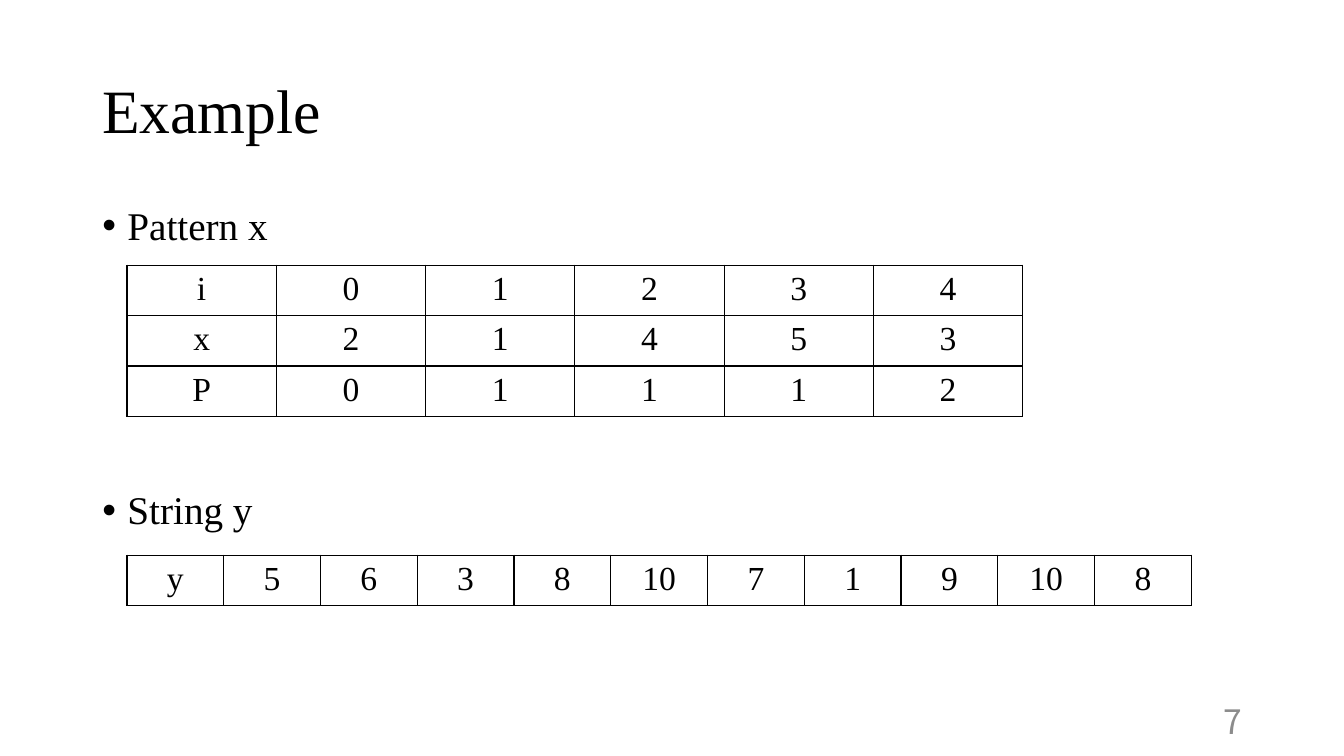
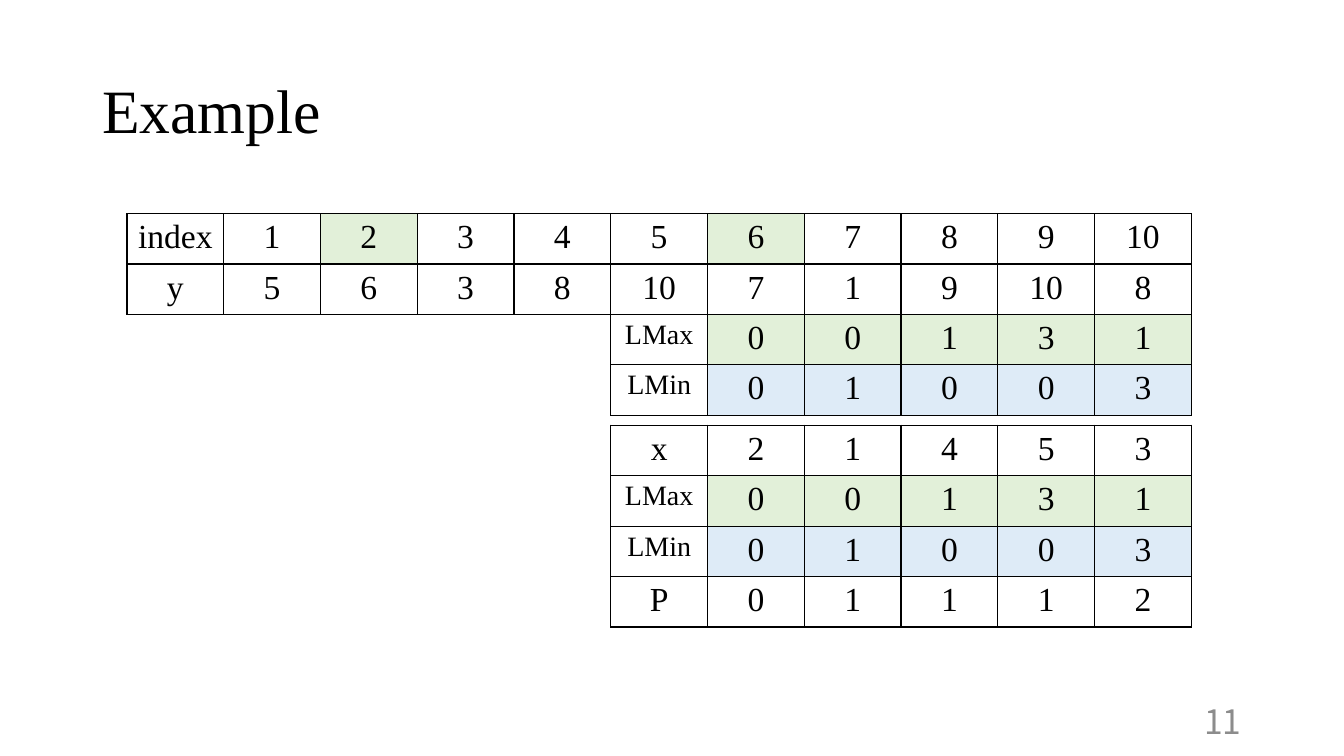
from lxml.etree import SubElement
from pptx import Presentation
from pptx.dml.color import RGBColor
from pptx.enum.text import MSO_ANCHOR, PP_ALIGN
from pptx.oxml import parse_xml
from pptx.oxml.ns import nsdecls, qn
from pptx.util import Pt

# Shared style
SERIF, NUMBER_FONT = "Times New Roman", "Noto Sans CJK JP"
BLACK, GRAY, WHITE = "000000", "8C8C8C", "FFFFFF"
GREEN, BLUE = "E2F0D9", "DEEBF7"

# Shared boxes: left, top, width, height in points
TITLE_BOX = (66, 28.8, 828, 104.4)
BODY_BOX = (66, 144, 828, 342.72)
NUMBER_BOX = (678, 500.5, 216, 28.8)

# Shared table grid in points
TABLE_LEFT = 90.72
WIDE_COLUMN, NARROW_COLUMN = 106.65, 69.12
ROW_HEIGHT = 33.8
WINDOW_LEFT = TABLE_LEFT + 5 * NARROW_COLUMN

# Table rows: label, values, fill of the value cells
Y_ROW = ("y", [5, 6, 3, 8, 10, 7, 1, 9, 10, 8], None)
X_ROW = ("x", [2, 1, 4, 5, 3], None)
P_ROW = ("P", [0, 1, 1, 1, 2], None)
LIMIT_ROWS = [
    ("LMax", [0, 0, 1, 3, 1], GREEN),
    ("LMin", [0, 1, 0, 0, 3], BLUE),
]


def color(hex_string):
    return RGBColor.from_string(hex_string)


def add_run(paragraph, text, size, font_name=SERIF, font_color=BLACK):
    run = paragraph.add_run()
    run.text = text
    run.font.size = Pt(size)
    run.font.name = font_name
    run.font.color.rgb = color(font_color)


def add_text_frame(slide, box, anchor):
    text_frame = slide.shapes.add_textbox(*map(Pt, box)).text_frame
    text_frame.word_wrap = True
    text_frame.vertical_anchor = anchor
    return text_frame


def add_title(slide, box, text):
    paragraph = add_text_frame(slide, box, MSO_ANCHOR.MIDDLE).paragraphs[0]
    paragraph.line_spacing = 0.9
    add_run(paragraph, text, 44)


def add_page_number(slide, box, number):
    paragraph = add_text_frame(slide, box, MSO_ANCHOR.MIDDLE).paragraphs[0]
    paragraph.alignment = PP_ALIGN.RIGHT
    add_run(paragraph, str(number), 24, NUMBER_FONT, GRAY)


def add_bullets(slide, box, items, gap):
    text_frame = add_text_frame(slide, box, MSO_ANCHOR.TOP)
    for index, item in enumerate(items):
        paragraph = text_frame.add_paragraph() if index else text_frame.paragraphs[0]
        properties = paragraph._p.get_or_add_pPr()
        properties.set("marL", str(Pt(18)))
        properties.set("indent", str(-Pt(18)))
        SubElement(properties, qn("a:buFont")).set("typeface", "Arial")
        SubElement(properties, qn("a:buChar")).set("char", "•")
        paragraph.line_spacing = 0.9
        if index:
            paragraph.space_before = Pt(gap)
        add_run(paragraph, item, 28)


def set_borders(cell):
    properties = cell._tc.get_or_add_tcPr()
    for position, side in enumerate(("lnL", "lnR", "lnT", "lnB")):
        border = parse_xml(
            f'<a:{side} {nsdecls("a")} w="{Pt(1)}"><a:solidFill>'
            f'<a:srgbClr val="{BLACK}"/></a:solidFill></a:{side}>'
        )
        properties.insert(position, border)


def fill_cell(cell, text, size, fill):
    if fill:
        cell.fill.solid()
        cell.fill.fore_color.rgb = color(fill)
    else:
        cell.fill.background()
    set_borders(cell)
    paragraph = cell.text_frame.paragraphs[0]
    paragraph.alignment = PP_ALIGN.CENTER
    add_run(paragraph, text, size)


def add_array_table(slide, left, top, column_width, rows, highlights=()):
    """Draw labelled rows; highlights holds (row, column) cells to tint green."""
    column_count = len(rows[0][1]) + 1
    table = slide.shapes.add_table(
        len(rows), column_count, Pt(left), Pt(top),
        Pt(column_width * column_count), Pt(ROW_HEIGHT * len(rows)),
    ).table
    table.first_row = table.horz_banding = False
    for column in table.columns:
        column.width = Pt(column_width)
    for row_index, (label, values, row_fill) in enumerate(rows):
        table.rows[row_index].height = Pt(ROW_HEIGHT)
        label_size = 20 if label.startswith("LM") else 24
        fill_cell(table.cell(row_index, 0), label, label_size, None)
        for column_index, value in enumerate(values, start=1):
            fill = GREEN if (row_index, column_index) in highlights else row_fill
            fill_cell(table.cell(row_index, column_index), str(value), 24, fill)


def add_example_slide(presentation, number):
    slide = presentation.slides.add_slide(presentation.slide_layouts[6])
    slide.background.fill.solid()
    slide.background.fill.fore_color.rgb = color(WHITE)
    add_title(slide, TITLE_BOX, "Example")
    add_page_number(slide, NUMBER_BOX, number)
    return slide


def build_input_slide(presentation):
    slide = add_example_slide(presentation, 7)
    add_bullets(slide, BODY_BOX, ["Pattern x", "String y"], gap=173)
    # Pattern and string tables
    pattern_rows = [("i", range(5), None), X_ROW, P_ROW]
    add_array_table(slide, TABLE_LEFT, 189.4, WIDE_COLUMN, pattern_rows)
    add_array_table(slide, TABLE_LEFT, 396.6, NARROW_COLUMN, [Y_ROW])


def build_matching_slide(presentation):
    slide = add_example_slide(presentation, 11)
    # Pattern, aligned with the last five columns of the string
    pattern_rows = [X_ROW, *LIMIT_ROWS, P_ROW]
    add_array_table(slide, WINDOW_LEFT, 303.8, NARROW_COLUMN, pattern_rows)
    # Limits of the current window
    add_array_table(slide, WINDOW_LEFT, 224.6, NARROW_COLUMN, LIMIT_ROWS)
    # Indexed string
    string_rows = [("index", range(1, 11), None), Y_ROW]
    add_array_table(slide, TABLE_LEFT, 152.6, NARROW_COLUMN, string_rows,
                    highlights={(0, 2), (0, 6)})


def main():
    presentation = Presentation()
    presentation.slide_width = Pt(960)
    presentation.slide_height = Pt(540)
    build_input_slide(presentation)
    build_matching_slide(presentation)
    presentation.save("out.pptx")


if __name__ == "__main__":
    main()
